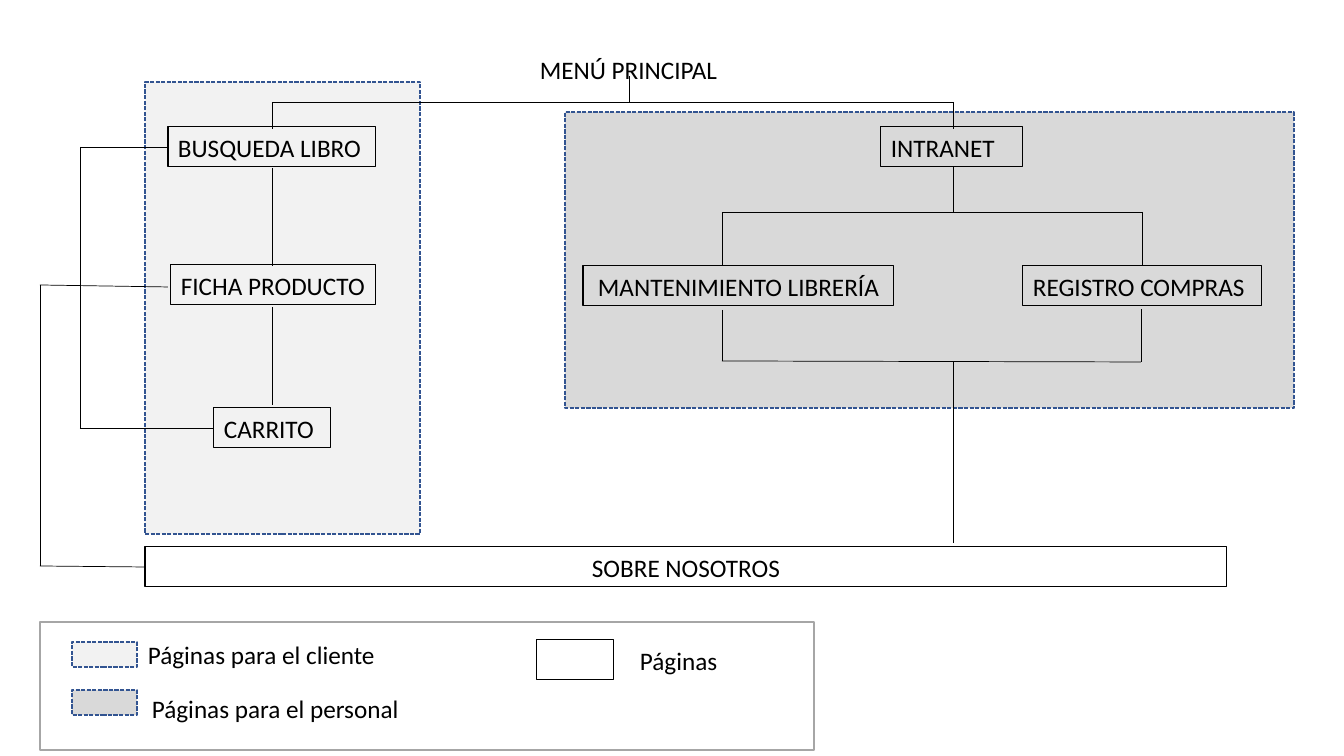
from itertools import pairwise

from lxml import etree
from pptx import Presentation
from pptx import util as u
from pptx.dml.color import RGBColor
from pptx.enum import dml, shapes, text
from pptx.oxml.ns import qn

SCALE = 914400 / 100.8
COLORS = {
    "ink": "000000",
    "client": "F2F2F2",
    "staff": "D9D9D9",
    "dash": "325491",
    "frame": "A6A6A6",
}
LEFT, CENTER = text.PP_ALIGN.LEFT, text.PP_ALIGN.CENTER


def px(*lengths):
    return [u.Emu(round(length * SCALE)) for length in lengths]


class SiteMap:
    font, size = "Calibri", 18

    def __init__(self, presentation):
        self.slide = presentation.slides.add_slide(presentation.slide_layouts[5])

    def color(self, name):
        return RGBColor.from_string(COLORS[name])

    def set_words(self, shape, words, align):
        frame = shape.text_frame
        frame.word_wrap = True
        frame.auto_size = text.MSO_AUTO_SIZE.NONE
        frame.vertical_anchor = text.MSO_ANCHOR.TOP
        paragraph = frame.paragraphs[0]
        paragraph.alignment = align
        run = paragraph.add_run()
        run.text = words
        run.font.name, run.font.size = self.font, u.Pt(self.size)
        run.font.color.rgb = self.color("ink")

    def title(self, words, left, top, width, height):
        shape = self.slide.shapes.title
        shape.left, shape.top, shape.width, shape.height = px(left, top, width, height)
        self.set_words(shape, words, CENTER)

    def label(self, words, left, top, width, height):
        shape = self.slide.shapes.add_textbox(*px(left, top, width, height))
        self.set_words(shape, words, LEFT)

    def box(self, left, top, width, height, line="ink", weight=0.75, fill=None):
        shape = self.slide.shapes.add_shape(
            shapes.MSO_SHAPE.RECTANGLE, *px(left, top, width, height))
        shape.shadow.inherit = False
        if fill:
            shape.fill.solid()
            shape.fill.fore_color.rgb = self.color(fill)
        else:
            shape.fill.background()
        shape.line.color.rgb = self.color(line)
        shape.line.width = u.Pt(weight)
        return shape

    def area(self, fill, *place):
        shape = self.box(*place, line="dash", weight=1, fill=fill)
        shape.line.dash_style = dml.MSO_LINE.SQUARE_DOT

    def page(self, words, left, top, width, align=LEFT, height=40):
        self.set_words(self.box(left, top, width, height), words, align)

    def connect(self, *points):
        for start, end in pairwise(points):
            connector = self.slide.shapes.add_connector(
                shapes.MSO_CONNECTOR.STRAIGHT, *px(*start, *end))
            connector.line.color.rgb = self.color("ink")
            connector.line.width = u.Pt(0.5)
            etree.SubElement(connector._element.spPr, qn("a:effectLst"))


presentation = Presentation()
presentation.slide_width, presentation.slide_height = px(1344, 756)
site = SiteMap(presentation)

# Areas for staff and clients
site.area("staff", 565, 112, 729, 296)
site.area("client", 145, 82, 275, 452)

# Pages
site.title("MENÚ PRINCIPAL", 425, 49, 407, 40)
site.page("BUSQUEDA LIBRO", 168, 127, 208)
site.page("INTRANET", 881, 127, 142)
site.page("FICHA PRODUCTO", 171, 265, 205)
site.page("REGISTRO COMPRAS", 1023, 266, 239)
site.page("MANTENIMIENTO LIBRERÍA", 583, 266, 311, CENTER)
site.page("SOBRE NOSOTROS", 145, 547, 1082, CENTER)
site.page("CARRITO", 214, 408, 117)

# Main menu to both branches
site.connect((629, 76), (629, 102))
site.connect((272, 129), (272, 102), (953, 102), (953, 129))

# Client branch
site.connect((272, 168), (272, 266))
site.connect((272, 307), (272, 405))
site.connect((168, 147), (80, 147), (80, 428), (213, 428))
site.connect((168, 287), (40, 285), (40, 566), (145, 567))

# Staff branch
site.connect((953, 167), (953, 212))
site.connect((722, 266), (722, 212), (1142, 212), (1142, 265))
site.connect((722, 310), (722, 361), (1141, 362), (1141, 309))
site.connect((953, 362), (953, 543))

# Legend
site.area("staff", 72, 690, 65, 25)
site.area("client", 72, 642, 65, 25)
site.box(40, 622, 774, 128, line="frame", weight=1)
site.label("Páginas para el cliente", 138, 634, 282, 40)
site.label("Páginas para el personal", 142, 688, 282, 40)
site.label("Páginas", 630, 640, 113, 40)
site.box(537, 640, 77, 40)

presentation.save("out.pptx")
